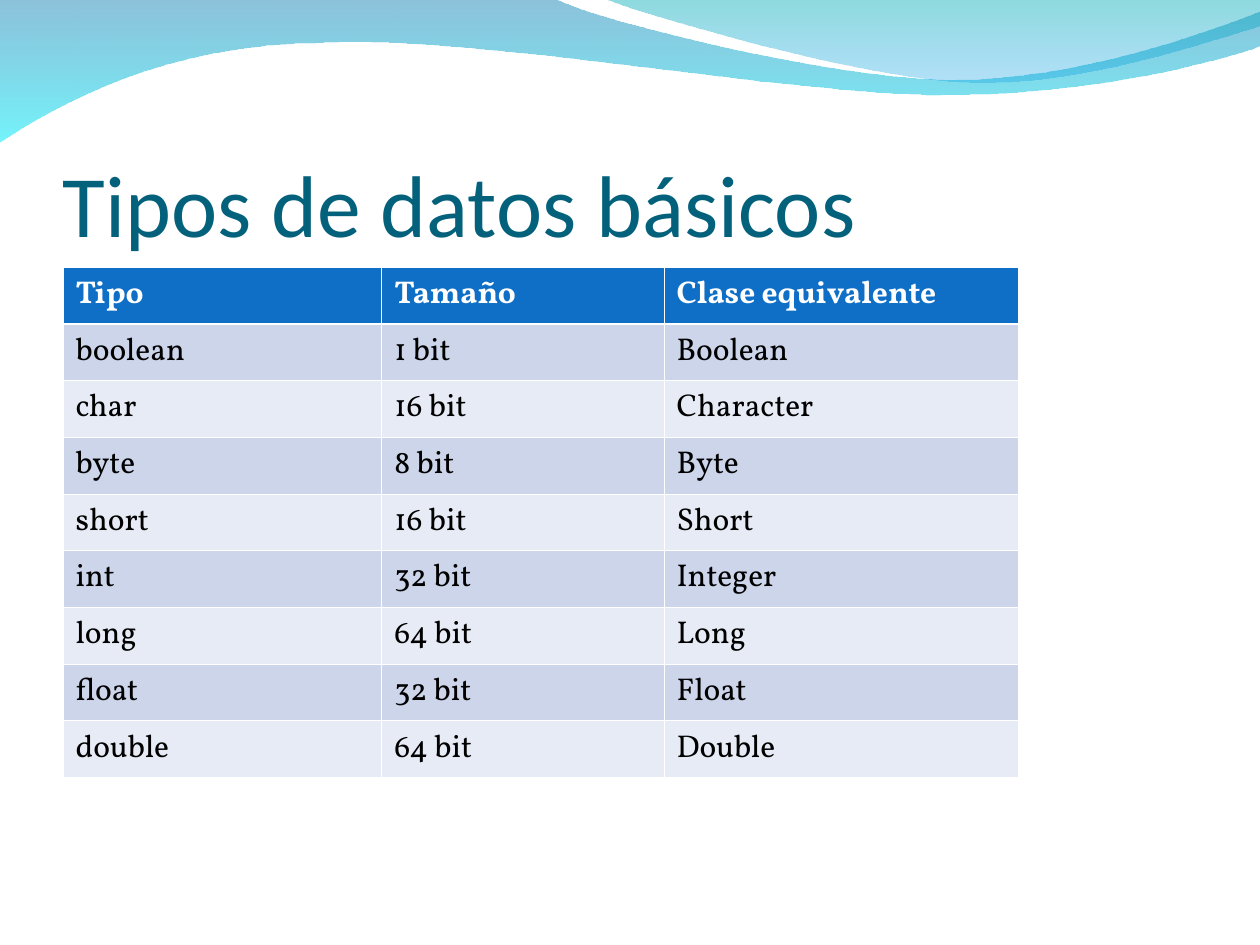
"""Build a slide with a table of basic data types under a wave header."""
from lxml import etree
from pptx import Presentation
from pptx.dml.color import RGBColor
from pptx.enum.text import MSO_ANCHOR, PP_ALIGN
from pptx.oxml.ns import qn
from pptx.util import Inches, Pt

BOTTOM, TOP = MSO_ANCHOR.BOTTOM, MSO_ANCHOR.TOP
LEFT = PP_ALIGN.LEFT

BACK_WAVE = [
    [(0, -0.01)],
    [(4.4, -0.01)],
    [(4.76, 0.17), (6.64, 0.63), (7.58, 0.63)],
    [(8.53, 0.63), (9.58, 0.26), (10, 0.09)],
    [(10.01, 0.36)],
    [(9.83, 0.44), (8.7, 0.76), (7.46, 0.75)],
    [(6.22, 0.75), (3.82, 0.28), (2.57, 0.34)],
    [(1.29, 0.35), (0.46, 0.83), (-0.01, 1.13)],
    [(0, -0.01)],
]
FRONT_WAVE = [
    [(4.79, -0.01)],
    [(5.09, 0.11), (6.82, 0.62), (7.69, 0.65)],
    [(8.56, 0.69), (9.61, 0.32), (10, 0.21)],
    [(10, 0)],
    [(4.79, -0.01)],
]
ROWS = [
    ("Tipo", "Tamaño", "Clase equivalente"),
    ("boolean", "1 bit", "Boolean"),
    ("char", "16 bit", "Character"),
    ("byte", "8 bit", "Byte"),
    ("short", "16 bit", "Short"),
    ("int", "32 bit", "Integer"),
    ("long", "64 bit", "Long"),
    ("float", "32 bit", "Float"),
    ("double", "64 bit", "Double"),
]


def rgb(value):
    return RGBColor.from_string(value)


def write(tf, text, font, size, color, bold=False, align=LEFT):
    p = tf.paragraphs[0]
    p.alignment = align
    r = p.add_run()
    r.text = text
    r.font.name, r.font.size, r.font.bold = font, Pt(size), bold
    r.font.color.rgb = rgb(color)


def bend(sp, outline):
    lines = list(sp._element.spPr.iter(qn("a:lnTo")))
    for line, points in zip(lines, outline[1:]):
        if len(points) == 1:
            continue
        curve = etree.Element(qn("a:cubicBezTo"))
        for x, y in points:
            etree.SubElement(curve, qn("a:pt"), x=str(Inches(x) - sp.left),
                             y=str(Inches(y) - sp.top))
        line.getparent().replace(line, curve)


def add_border(cell, side, color, width):
    tcPr = cell._tc.get_or_add_tcPr()
    ln = etree.SubElement(tcPr, qn(f"a:ln{side}"), w=str(Pt(width)))
    fill = etree.SubElement(ln, qn("a:solidFill"))
    etree.SubElement(fill, qn("a:srgbClr"), val=color)


class Deck:
    title_font, body_font = "Calibri", "Vollkorn"
    title_color, header_fill = "04617B", "0F6FC6"
    white, black = "FFFFFF", "000000"
    bands = ("E7EBF5", "CCD5EA")
    thin, thick = 0.45, 1.47

    def __init__(self, width, height):
        self.prs = Presentation()
        self.prs.slide_width, self.prs.slide_height = Inches(width), Inches(height)
        self.s = self.prs.slides.add_slide(self.prs.slide_layouts[6])

    def wave(self, outline, stops):
        ends = [(Inches(x), Inches(y)) for *_, (x, y) in outline]
        builder = self.s.shapes.build_freeform(*ends[0])
        builder.add_line_segments(ends[1:], close=True)
        sp = builder.convert_to_shape()
        bend(sp, outline)
        sp.shadow.inherit = False
        sp.line.fill.background()
        sp.fill.gradient()
        sp.fill.gradient_angle = 270
        for stop, (color, _) in zip(sp.fill.gradient_stops, stops):
            stop.color.rgb = rgb(color)
        colors = sp._element.spPr.iter(qn("a:srgbClr"))
        for clr, (_, opacity) in zip(list(colors), stops):
            etree.SubElement(clr, qn("a:alpha"), val=str(opacity * 1000))

    def title(self, text, x, y, w, h):
        sp = self.s.shapes.add_textbox(Inches(x), Inches(y), Inches(w), Inches(h))
        tf = sp.text_frame
        tf.word_wrap = True
        tf.vertical_anchor = BOTTOM
        tf.margin_left = tf.margin_right = tf.margin_bottom = 0
        tf.margin_top = Inches(0.05)
        write(tf, text, self.title_font, 50, self.title_color)

    def table(self, rows, x, y, widths, row_height):
        frame = self.s.shapes.add_table(
            len(rows), len(widths), Inches(x), Inches(y),
            Inches(sum(widths)), Inches(row_height * len(rows)))
        table = frame.table
        for column, width in zip(table.columns, widths):
            column.width = Inches(width)
        for i, row in enumerate(rows):
            table.rows[i].height = Inches(row_height)
            for j, text in enumerate(row):
                self.cell(table.cell(i, j), text, i)

    def cell(self, cell, text, row):
        header = row == 0
        top = self.thick if row == 1 else self.thin
        bottom = self.thick if header else self.thin
        for side, width in zip("LRTB", (self.thin, self.thin, top, bottom)):
            add_border(cell, side, self.white, width)
        cell.fill.solid()
        cell.fill.fore_color.rgb = rgb(self.header_fill if header else self.bands[row % 2])
        cell.vertical_anchor = TOP
        cell.margin_left = cell.margin_right = Inches(0.1)
        cell.margin_top = cell.margin_bottom = Inches(0.05)
        write(cell.text_frame, text, self.body_font, 18,
              self.white if header else self.black, bold=header)


def main():
    deck = Deck(10, 7.5)
    deck.wave(BACK_WAVE, [("0079AF", 45), ("00EBF8", 55)])
    deck.wave(FRONT_WAVE, [("00ADB6", 45), ("009BE5", 30)])
    deck.title("Tipos de datos básicos", 0.5, 0.77, 9, 1.25)
    deck.table(ROWS, 0.5, 2.12, (2.53, 2.24, 2.81), 0.45)
    deck.prs.save("out.pptx")


if __name__ == "__main__":
    main()
